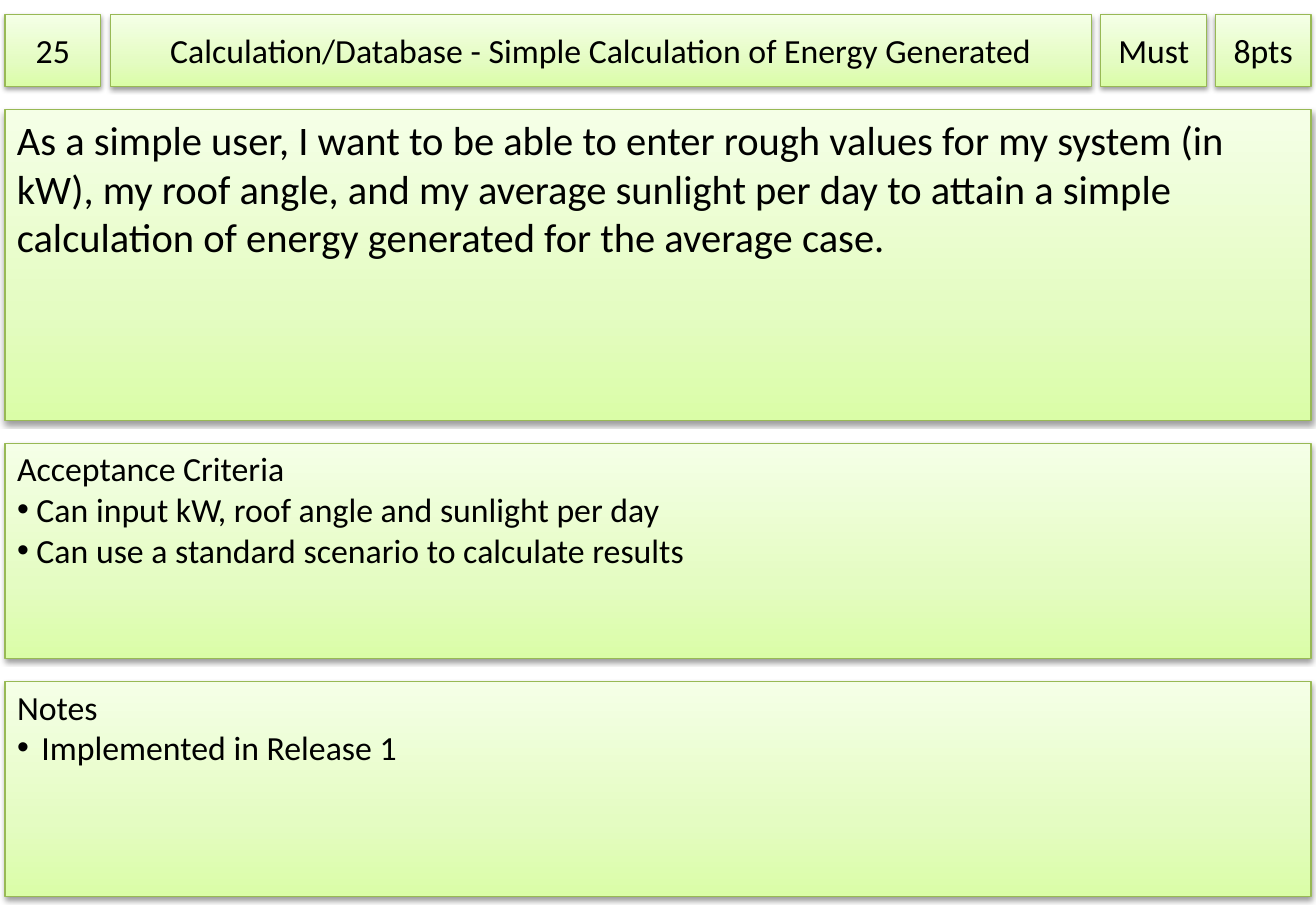
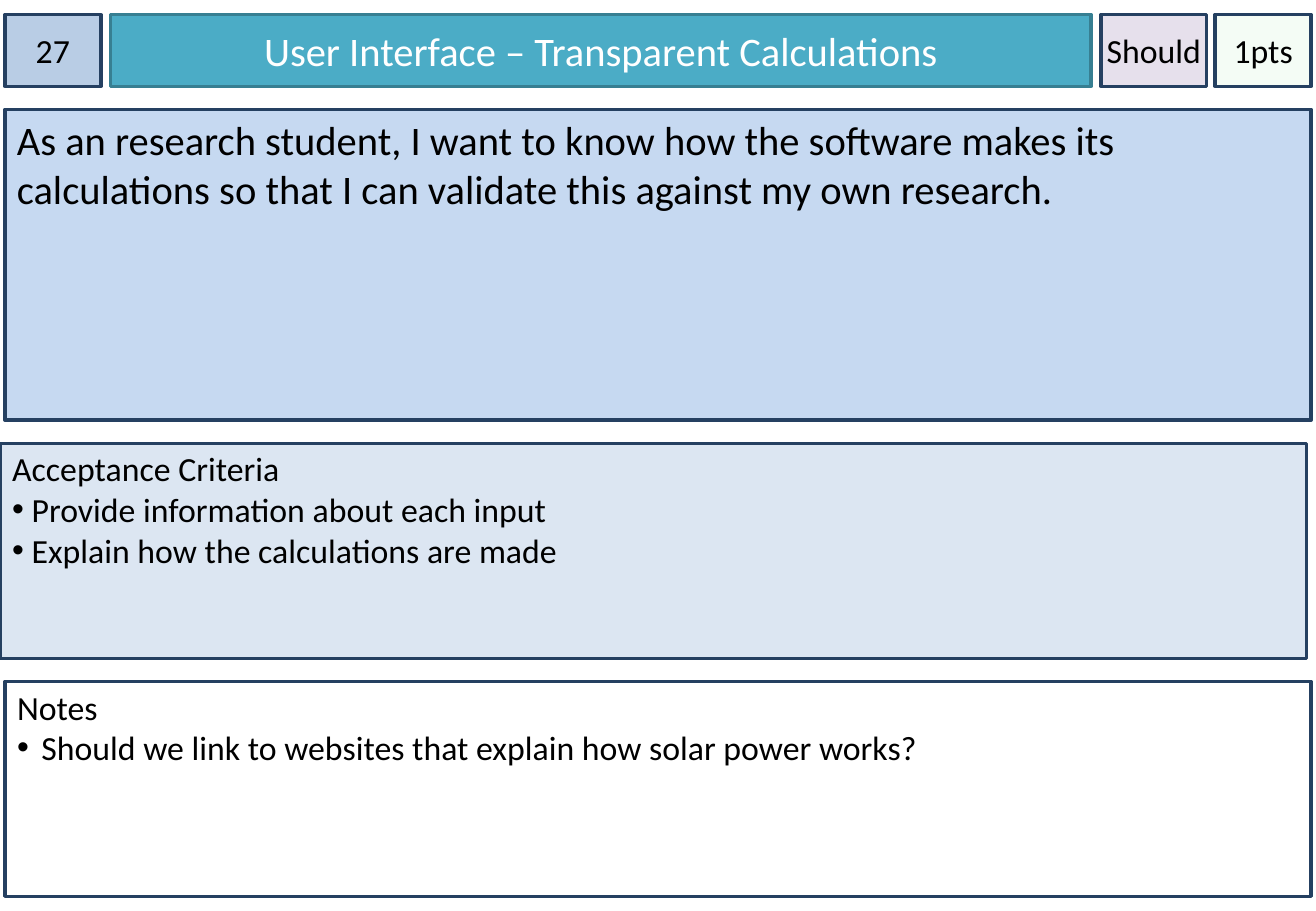
"""Build two user story cards that share one layout."""
import pptx
import pptx.dml.color
import pptx.enum.shapes
import pptx.enum.text
import pptx.oxml.ns
import pptx.util
import lxml.etree

Inches = pptx.util.Inches
Pt = pptx.util.Pt
RGB = pptx.dml.color.RGBColor.from_string
ALIGN = pptx.enum.text.PP_ALIGN
ANCHOR = pptx.enum.text.MSO_ANCHOR
qn = pptx.oxml.ns.qn

FONT = "Calibri"
HUES = {
    "black": "000000", "white": "FFFFFF", "leaf": "98B955",
    "lime": "DAFDA7", "pale": "E4FCC2", "mist": "F5FFE7",
    "navy": "254061", "steel": "B9CDE5", "teal": "4BACC6",
    "edge": "377F92", "sky": "C6D9F1", "ice": "DCE6F2",
    "mint": "CCF0CD", "lilac": "E6E0EC",
}
FADE = [(0, "lime"), (35, "pale"), (100, "mist")]

LEFT, WIDTH = 0.04, 10.75
TOP, HIGH = 0.12, 0.59
BOXES = {
    "number": (LEFT, TOP, 0.79, HIGH),
    "title": (0.91, TOP, 8.07, HIGH),
    "level": (9.06, TOP, 0.87, HIGH),
    "points": (10, TOP, 0.79, HIGH),
    "story": (LEFT, 0.9, WIDTH, 2.56),
    "tests": (LEFT, 3.65, WIDTH, 1.77),
    "notes": (LEFT, 5.61, WIDTH, 1.77),
}
HOLDERS = {"title": 0, "tests": 1, "notes": 2}
INDENTS = {"tests": 0.16, "notes": 0.2}

CARDS = [
    {
        "text": {
            "number": ["25"],
            "title": ["Calculation/Database - Simple Calculation of Energy Generated"],
            "level": ["Must"],
            "points": ["8pts"],
            "story": ["As a simple user, I want to be able to enter rough values for my "
                      "system (in kW), my roof angle, and my average sunlight per day to "
                      "attain a simple calculation of energy generated for the average case."],
            "tests": ["Acceptance Criteria",
                      "Can input kW, roof angle and sunlight per day",
                      "Can use a standard scenario to calculate results"],
            "notes": ["Notes", "Implemented in Release 1"],
        },
        "fills": {}, "line": "leaf", "weight": 0.75,
        "lines": {}, "fonts": {}, "sizes": {"story": 24}, "lefts": {},
    },
    {
        "text": {
            "number": ["27"],
            "title": ["User Interface – Transparent Calculations"],
            "level": ["Should"],
            "points": ["1pts"],
            "story": ["As an research student, I want to know how the software makes its "
                      "calculations so that I can validate this against my own research."],
            "tests": ["Acceptance Criteria",
                      "Provide information about each input",
                      "Explain how the calculations are made"],
            "notes": ["Notes",
                      "Should we link to websites that explain how solar power works?"],
        },
        "fills": {"number": "steel", "title": "teal", "level": "lilac", "points": "mint",
                  "story": "sky", "tests": "ice", "notes": "white"},
        "line": "navy", "weight": 2,
        "lines": {"title": "edge"}, "fonts": {"title": "white"},
        "sizes": {"title": 24, "story": 24}, "lefts": {"tests": 0},
    },
]


def add(node, tag, **attrs):
    """Append a child element."""
    return lxml.etree.SubElement(node, qn(tag), {k: str(v) for k, v in attrs.items()})


def paint(shape, card, name):
    """Set the fill, line and shadow of a box."""
    fill = shape.fill
    hue = card["fills"].get(name)
    if hue:
        fill.solid()
        fill.fore_color.rgb = RGB(HUES[hue])
        if hue == "mint":
            tint = shape._element.spPr.find(".//" + qn("a:srgbClr"))
            add(tint, "a:alpha", val=20000)
    else:
        fill.gradient()
        fill.gradient_angle = 90
        stops = shape._element.spPr.find(".//" + qn("a:gsLst"))
        for old in list(stops):
            stops.remove(old)
        for place, tone in FADE:
            stop = add(stops, "a:gs", pos=place * 1000)
            add(stop, "a:srgbClr", val=HUES[tone])
    shape.line.color.rgb = RGB(HUES[card["lines"].get(name, card["line"])])
    shape.line.width = Pt(card["weight"])
    shape.shadow.inherit = False
    if not hue:
        glow = add(shape._element.spPr.find(qn("a:effectLst")), "a:outerShdw",
                   blurRad=Pt(3.1), dist=Pt(1.6), dir=5400000, rotWithShape=0)
        tint = add(glow, "a:srgbClr", val=HUES["black"])
        add(tint, "a:alpha", val=38000)


deck = pptx.Presentation()
deck.slide_width = Inches(10.83)
deck.slide_height = Inches(7.5)

for card in CARDS:
    slide = deck.slides.add_slide(deck.slide_layouts.get_by_name("Two Content"))
    for name, (left, top, width, height) in BOXES.items():
        place = [Inches(v) for v in (card["lefts"].get(name, left), top, width, height)]
        if name in HOLDERS:
            shape = slide.placeholders[HOLDERS[name]]
            shape.left, shape.top, shape.width, shape.height = place
        else:
            shape = slide.shapes.add_shape(pptx.enum.shapes.MSO_SHAPE.RECTANGLE, *place)
        paint(shape, card, name)

        head = top == TOP
        frame = shape.text_frame
        frame.auto_size = pptx.enum.text.MSO_AUTO_SIZE.NONE
        frame.word_wrap = name != "level"
        frame.vertical_anchor = ANCHOR.MIDDLE if head else ANCHOR.TOP
        side = 0 if head and name != "title" else 0.1
        frame.margin_left = frame.margin_right = Inches(side)
        frame.margin_top = Inches(0.04 if name in INDENTS else 0.05)
        frame.margin_bottom = Inches(0.05)

        for i, text in enumerate(card["text"][name]):
            para = frame.add_paragraph() if i else frame.paragraphs[0]
            para.alignment = ALIGN.CENTER if head else ALIGN.LEFT
            para.space_before = Pt(0)
            props = para._p.get_or_add_pPr()
            indent = Inches(INDENTS[name]) if i else 0
            props.set("marL", str(indent))
            props.set("indent", str(-indent))
            if i:
                add(props, "a:buFont", typeface="Arial")
                add(props, "a:buChar", char="•")
            else:
                add(props, "a:buNone")
            run = para.add_run()
            run.text = text
            run.font.name = FONT
            run.font.size = Pt(card["sizes"].get(name, 20))
            run.font.color.rgb = RGB(HUES[card["fonts"].get(name, "black")])

deck.save("out.pptx")
